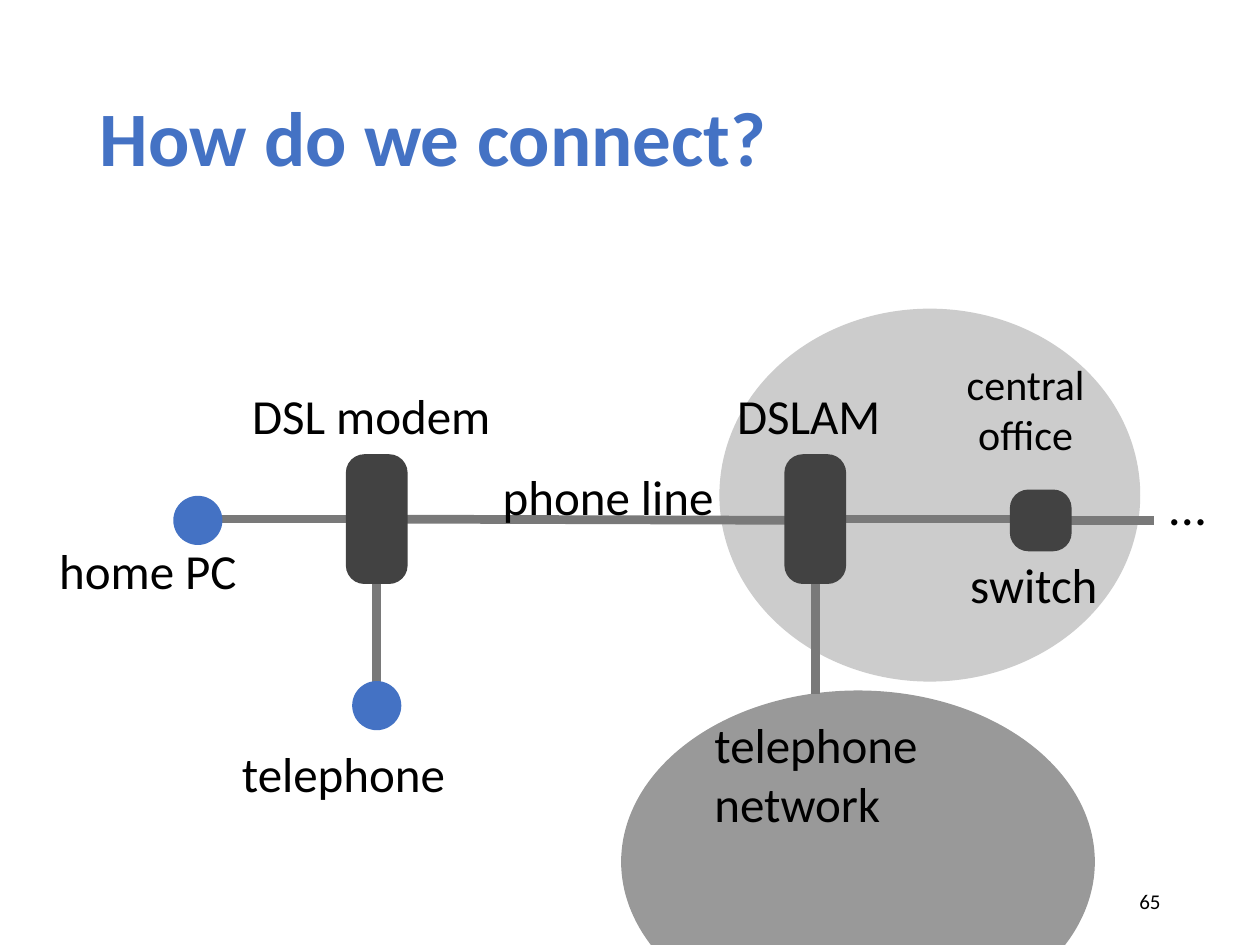
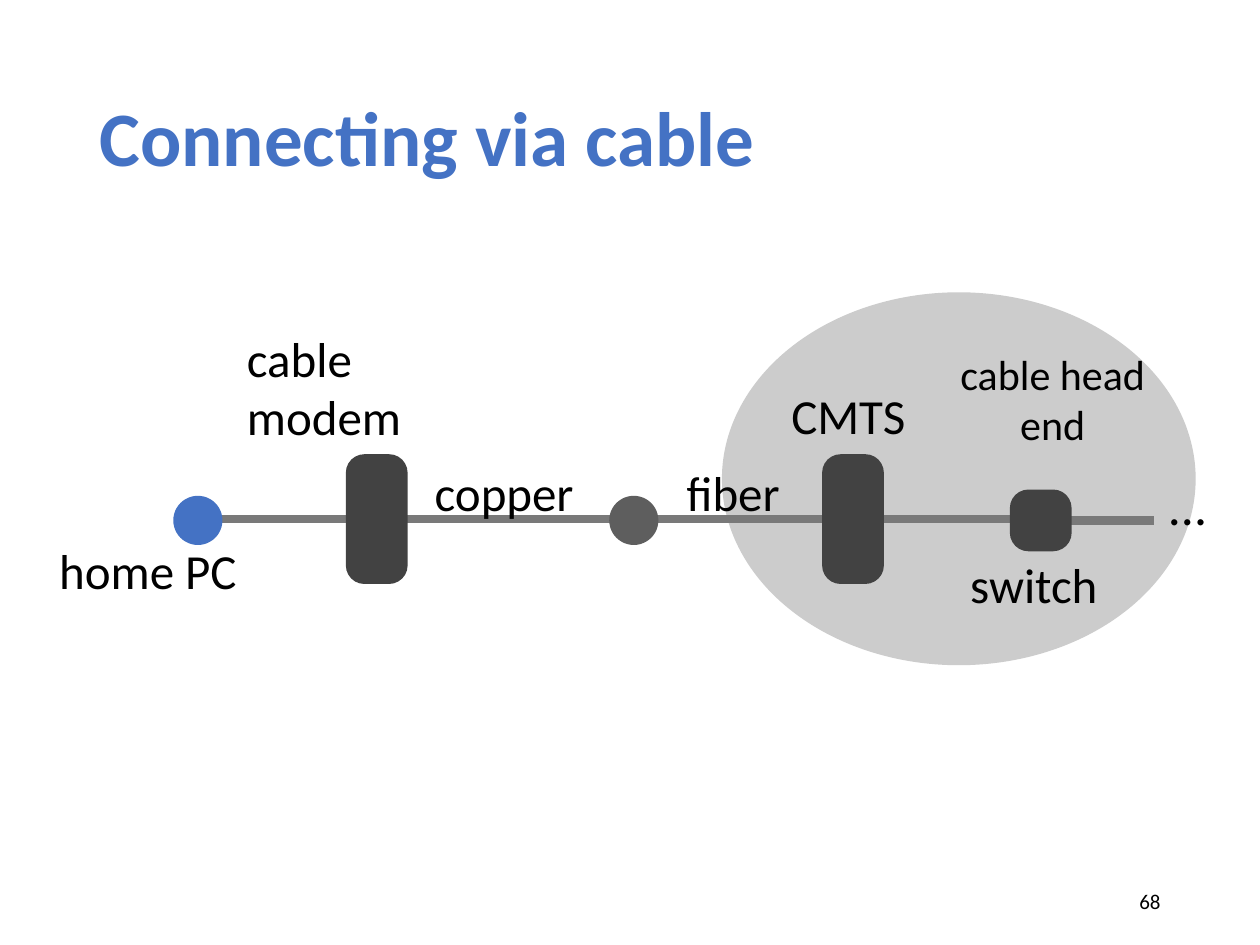
from lxml.etree import SubElement
from pptx import Presentation
from pptx.dml.color import RGBColor
from pptx.enum.shapes import MSO_CONNECTOR, MSO_SHAPE
from pptx.enum.text import MSO_ANCHOR, MSO_AUTO_SIZE, PP_ALIGN
from pptx.oxml.ns import qn
from pptx.util import Inches, Pt

COLORS = {
    "accent": "4472C4",
    "text": "000000",
    "wire": "797979",
    "box": "424242",
    "joint": "5E5E5E",
    "site": "CCCCCC",
    "network": "000000",
}
FONT = "Calibri"
AXIS = 4.12  # height of the main wire
DOT = 0.39
UNIT = 0.49  # width of a device


def color(name):
    return RGBColor.from_string(COLORS[name])


def write(shape, text, size=28, ink="text", bold=False, align=PP_ALIGN.LEFT,
          inset=0.04, wrap=True, grow=True, spacing=None):
    frame = shape.text_frame
    frame.text = text
    frame.word_wrap = wrap
    frame.auto_size = MSO_AUTO_SIZE.SHAPE_TO_FIT_TEXT if grow else MSO_AUTO_SIZE.NONE
    frame.vertical_anchor = MSO_ANCHOR.MIDDLE
    if inset is not None:
        frame.margin_left = frame.margin_right = Inches(inset)
        frame.margin_top = frame.margin_bottom = Inches(inset)
    line = frame.paragraphs[0]
    line.alignment = align
    line.line_spacing = spacing
    font = line.runs[0].font
    font.name, font.size, font.bold = FONT, Pt(size), bold
    font.color.rgb = color(ink)


def label(slide, text, x, y, w, h=0.55, **style):
    box = slide.shapes.add_textbox(Inches(x), Inches(y), Inches(w), Inches(h))
    write(box, text, **style)


def shape(slide, kind, fill, x, y, w, h):
    form = slide.shapes.add_shape(kind, Inches(x), Inches(y), Inches(w), Inches(h))
    form.shadow.inherit = False
    form.fill.solid()
    form.fill.fore_color.rgb = color(fill)
    form.line.fill.background()
    return form


def oval(slide, fill, x, y, w, h):
    return shape(slide, MSO_SHAPE.OVAL, fill, x, y, w, h)


def dot(slide, fill, x, y):
    """Draw a small disc centred on x, y."""
    oval(slide, fill, x - DOT / 2, y - DOT / 2, DOT, DOT)


def device(slide, x, y, h=1.03):
    """Draw a rounded block centred on x, y."""
    block = shape(slide, MSO_SHAPE.ROUNDED_RECTANGLE, "box",
                  x - UNIT / 2, y - h / 2, UNIT, h)
    block.adjustments[0] = 0.3


def wire(slide, x1, y1, x2, y2):
    line = slide.shapes.add_connector(
        MSO_CONNECTOR.STRAIGHT, Inches(x1), Inches(y1), Inches(x2), Inches(y2))
    line.line.color.rgb = color("wire")
    line.line.width = Pt(5)
    SubElement(line._element.spPr, qn("a:effectLst"))


def home(slide, x, y):
    """Draw the home PC at x, y, wired to its modem."""
    wire(slide, x, y, x + 1.42, y)
    dot(slide, "accent", x, y + 0.01)
    device(slide, x + 1.42, y)
    label(slide, "home PC", x - 1.14, y + 0.13, 2.29)


def uplink(slide, x, y):
    """Draw the switch at x, y and the wire that leads onward."""
    wire(slide, x, y, x + 0.9, y)
    device(slide, x, y, UNIT)
    label(slide, "switch", x - 0.6, y + 0.23, 1.17, wrap=False)
    label(slide, "...", x + 0.97, y - 0.41, 0.43, 0.58, size=29.5, wrap=False)


def phone(slide, x, y):
    """Draw the telephone below a modem at x, y."""
    wire(slide, x, y + 0.24, x, y + 1.37)
    dot(slide, "accent", x, y + 1.48)
    label(slide, "telephone", x - 1.11, y + 1.74, 2.29)


def network(slide, x, y, w, h):
    cloud = oval(slide, "network", x, y, w, h)
    tint = cloud._element.spPr.find(qn("a:solidFill"))[0]
    SubElement(tint, qn("a:alpha"), val="40000")
    label(slide, "telephone network", x + 0.7, y + 0.15, 2.29, 1.02)


def start(deck, title, number):
    slide = deck.slides.add_slide(deck.slide_layouts[5])
    head = slide.shapes.title
    head.left, head.top = Inches(0.69), Inches(0.4)
    head.width, head.height = Inches(8.62), Inches(1.45)
    write(head, title, size=44, ink="accent", bold=True, inset=None,
          grow=False, spacing=0.9)
    label(slide, number, 7.06, 6.95, 2.25, 0.4, size=12,
          align=PP_ALIGN.RIGHT, inset=None, grow=False)
    return slide


def phone_slide(deck):
    slide = start(deck, "How do we connect?", "65")
    network(slide, 4.93, 5.48, 3.76, 2.72)
    oval(slide, "site", 5.71, 2.45, 3.34, 2.96)
    modem, hub = 2.99, 6.47
    wire(slide, modem, AXIS, hub, AXIS + 0.01)
    wire(slide, hub, AXIS, 8.25, AXIS)
    wire(slide, hub, 4.4, hub, 5.51)
    phone(slide, modem, AXIS)
    home(slide, 1.57, AXIS)
    device(slide, hub, AXIS)
    uplink(slide, 8.26, AXIS + 0.01)
    label(slide, "DSL modem", 1.96, 3.02, 2.25, wrap=False)
    label(slide, "DSLAM", 5.81, 3.02, 1.43, wrap=False)
    label(slide, "central office", 7.37, 2.8, 1.54, 0.89, size=24,
          align=PP_ALIGN.CENTER)
    label(slide, "phone line", 3.95, 3.66, 1.9, wrap=False)


def cable_slide(deck):
    slide = start(deck, "Connecting via cable", "68")
    oval(slide, "site", 5.73, 2.32, 3.76, 2.96)
    modem, joint, hub = 2.99, 5.03, 6.77
    for x1, x2 in ((modem, joint), (joint, hub), (hub, 8.26)):
        wire(slide, x1, AXIS, x2, AXIS)
    home(slide, 1.57, AXIS)
    dot(slide, "joint", joint, AXIS + 0.01)
    device(slide, hub, AXIS)
    uplink(slide, 8.26, AXIS + 0.01)
    label(slide, "cable modem", 1.92, 2.56, 2.21, 1.02)
    label(slide, "CMTS", 6.24, 3.02, 1.19, wrap=False)
    label(slide, "cable head end", 7.55, 2.72, 1.61, 0.89, size=24,
          align=PP_ALIGN.CENTER)
    label(slide, "copper", 3.41, 3.63, 1.28, wrap=False)
    label(slide, "fiber", 5.41, 3.63, 0.84, wrap=False)


def main():
    deck = Presentation()
    deck.slide_width, deck.slide_height = Inches(10), Inches(7.5)
    phone_slide(deck)
    cable_slide(deck)
    deck.save("out.pptx")


if __name__ == "__main__":
    main()
